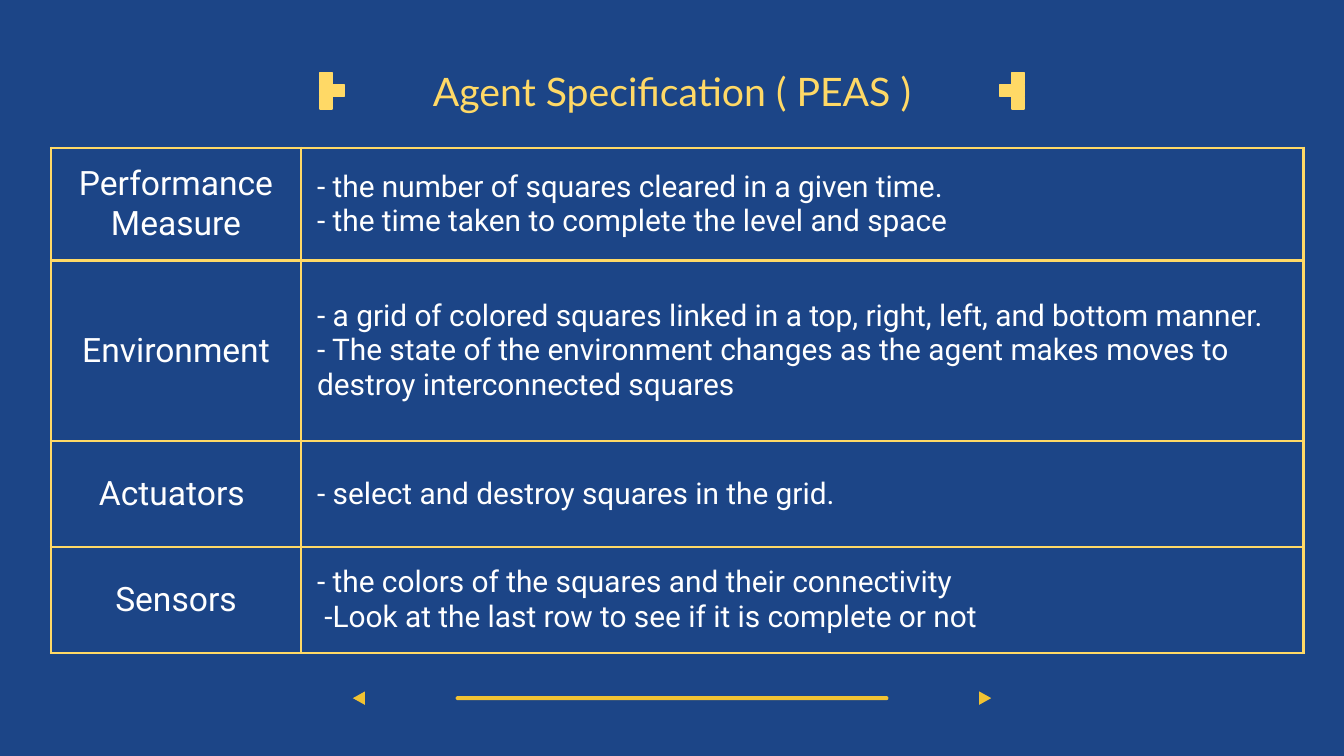
from dataclasses import dataclass

import lxml.etree
import pptx
import pptx.dml.color
import pptx.enum.shapes
import pptx.enum.text
import pptx.oxml.ns
import pptx.util

Inches = pptx.util.Inches
Align = pptx.enum.text.PP_ALIGN
Anchor = pptx.enum.text.MSO_ANCHOR
ShapeKind = pptx.enum.shapes.MSO_SHAPE


@dataclass(frozen=True)
class Theme:
    background: str = "1C4587"
    yellow: str = "FFD966"
    gold: str = "F1C232"
    white: str = "FFFFFF"
    title_font: str = "Lato"
    body_font: str = "Roboto"
    title_size: float = 21
    label_size: float = 18
    detail_size: float = 16
    border_width: float = 1.5
    square_line: float = 0.75


@dataclass(frozen=True)
class PeasRow:
    label: str
    details: tuple[str, ...]
    height: float


@dataclass(frozen=True)
class Ornament:
    kind: ShapeKind
    left: float
    top: float
    width: float
    height: float
    rotation: float = 0


THEME = Theme()
SLIDE_WIDTH = 10
SLIDE_HEIGHT = SLIDE_WIDTH * 9 / 16

PEAS_ROWS = (
    PeasRow("Performance Measure", (
        "- the number of squares cleared in a given time.",
        "- the time taken to complete the level and space",
    ), 0.84),
    PeasRow("Environment", (
        "- a grid of colored squares linked in a top, right, left, and bottom manner.",
        "- The state of the environment changes as the agent makes moves to "
        "destroy interconnected squares",
    ), 1.34),
    PeasRow("Actuators ", ("- select and destroy squares in the grid.",), 0.79),
    PeasRow("Sensors", (
        "- the colors of the squares and their connectivity",
        " -Look at the last row to see if it is complete or not",
    ), 0.79),
)
COLUMN_WIDTHS = (1.86, 7.46)
CELL_MARGIN = 0.12

FOOTER_ORNAMENTS = (
    Ornament(ShapeKind.ROUNDED_RECTANGLE, 3.39, 5.18, 3.22, 0.03),
    Ornament(ShapeKind.ISOSCELES_TRIANGLE, 2.62, 5.15, 0.1, 0.09, 270),
    Ornament(ShapeKind.ISOSCELES_TRIANGLE, 7.28, 5.15, 0.1, 0.09, 90),
)
SQUARE = 0.09
BLOCK_TOP = 0.54


def color(value: str) -> pptx.dml.color.RGBColor:
    return pptx.dml.color.RGBColor.from_string(value)


def write_text(frame, lines: tuple[str, ...], *, font: str, size: float,
               fill: str, align: Align = Align.LEFT) -> None:
    frame.word_wrap = True
    for index, line in enumerate(lines):
        paragraph = frame.paragraphs[0] if index == 0 else frame.add_paragraph()
        paragraph.alignment = align
        run = paragraph.add_run()
        run.text = line
        run.font.name = font
        run.font.size = pptx.util.Pt(size)
        run.font.color.rgb = color(fill)


def add_title(slide, text: str) -> None:
    title = slide.shapes.title
    title.left, title.top = Inches(0.34), Inches(0.32)
    title.width, title.height = Inches(9.32), Inches(0.63)
    frame = title.text_frame
    frame.auto_size = pptx.enum.text.MSO_AUTO_SIZE.NONE
    frame.vertical_anchor = Anchor.BOTTOM
    frame.margin_left = frame.margin_right = Inches(0.1)
    frame.margin_top = frame.margin_bottom = Inches(0.1)
    write_text(frame, (text,), font=THEME.title_font, size=THEME.title_size,
               fill=THEME.yellow, align=Align.CENTER)


def add_borders(cell) -> None:
    qualified = pptx.oxml.ns.qn
    properties = cell._tc.get_or_add_tcPr()
    for side in ("a:lnL", "a:lnR", "a:lnT", "a:lnB"):
        line = lxml.etree.SubElement(properties, qualified(side))
        line.set("w", str(pptx.util.Pt(THEME.border_width)))
        solid = lxml.etree.SubElement(line, qualified("a:solidFill"))
        lxml.etree.SubElement(solid, qualified("a:srgbClr")).set("val", THEME.yellow)


def format_cell(cell) -> None:
    cell.vertical_anchor = Anchor.MIDDLE
    cell.margin_left = cell.margin_right = Inches(CELL_MARGIN)
    cell.margin_top = cell.margin_bottom = Inches(CELL_MARGIN)
    add_borders(cell)
    cell.fill.background()


def add_peas_table(slide, rows: tuple[PeasRow, ...]) -> None:
    table = slide.shapes.add_table(
        len(rows), len(COLUMN_WIDTHS), Inches(0.38), Inches(1.1),
        Inches(sum(COLUMN_WIDTHS)), Inches(sum(row.height for row in rows)),
    ).table
    table.first_row = table.horz_banding = False
    for column, width in zip(table.columns, COLUMN_WIDTHS):
        column.width = Inches(width)
    for index, row in enumerate(rows):
        table.rows[index].height = Inches(row.height)
        label, details = table.cell(index, 0), table.cell(index, 1)
        format_cell(label)
        format_cell(details)
        write_text(label.text_frame, (row.label,), font=THEME.body_font,
                   size=THEME.label_size, fill=THEME.white, align=Align.CENTER)
        write_text(details.text_frame, row.details, font=THEME.body_font,
                   size=THEME.detail_size, fill=THEME.white)


def add_ornament(shapes, ornament: Ornament, fill: str):
    shape = shapes.add_shape(
        ornament.kind, Inches(ornament.left), Inches(ornament.top),
        Inches(ornament.width), Inches(ornament.height))
    shape.rotation = ornament.rotation
    shape.shadow.inherit = False
    shape.fill.solid()
    shape.fill.fore_color.rgb = color(fill)
    shape.line.fill.background()
    if ornament.kind == ShapeKind.ROUNDED_RECTANGLE:
        shape.adjustments[0] = 0.5
    return shape


def add_block(slide, left: float, direction: int) -> None:
    """Stack three squares at left, with a fourth beside the middle one."""
    group = slide.shapes.add_group_shape()
    for column, row in ((0, 0), (0, 1), (0, 2), (direction, 1)):
        square = add_ornament(group.shapes, Ornament(
            ShapeKind.RECTANGLE, left + column * SQUARE,
            BLOCK_TOP + row * SQUARE, SQUARE, SQUARE), THEME.yellow)
        square.line.color.rgb = color(THEME.yellow)
        square.line.width = pptx.util.Pt(THEME.square_line)


def main() -> None:
    presentation = pptx.Presentation()
    presentation.slide_width = Inches(SLIDE_WIDTH)
    presentation.slide_height = Inches(SLIDE_HEIGHT)
    title_only = presentation.slide_layouts.get_by_name("Title Only")
    slide = presentation.slides.add_slide(title_only)
    slide.background.fill.solid()
    slide.background.fill.fore_color.rgb = color(THEME.background)

    add_title(slide, "Agent Specification ( PEAS )")
    add_peas_table(slide, PEAS_ROWS)
    for ornament in FOOTER_ORNAMENTS:
        add_ornament(slide.shapes, ornament, THEME.gold)
    add_block(slide, left=2.38, direction=1)
    add_block(slide, left=7.53, direction=-1)
    presentation.save("out.pptx")


if __name__ == "__main__":
    main()
